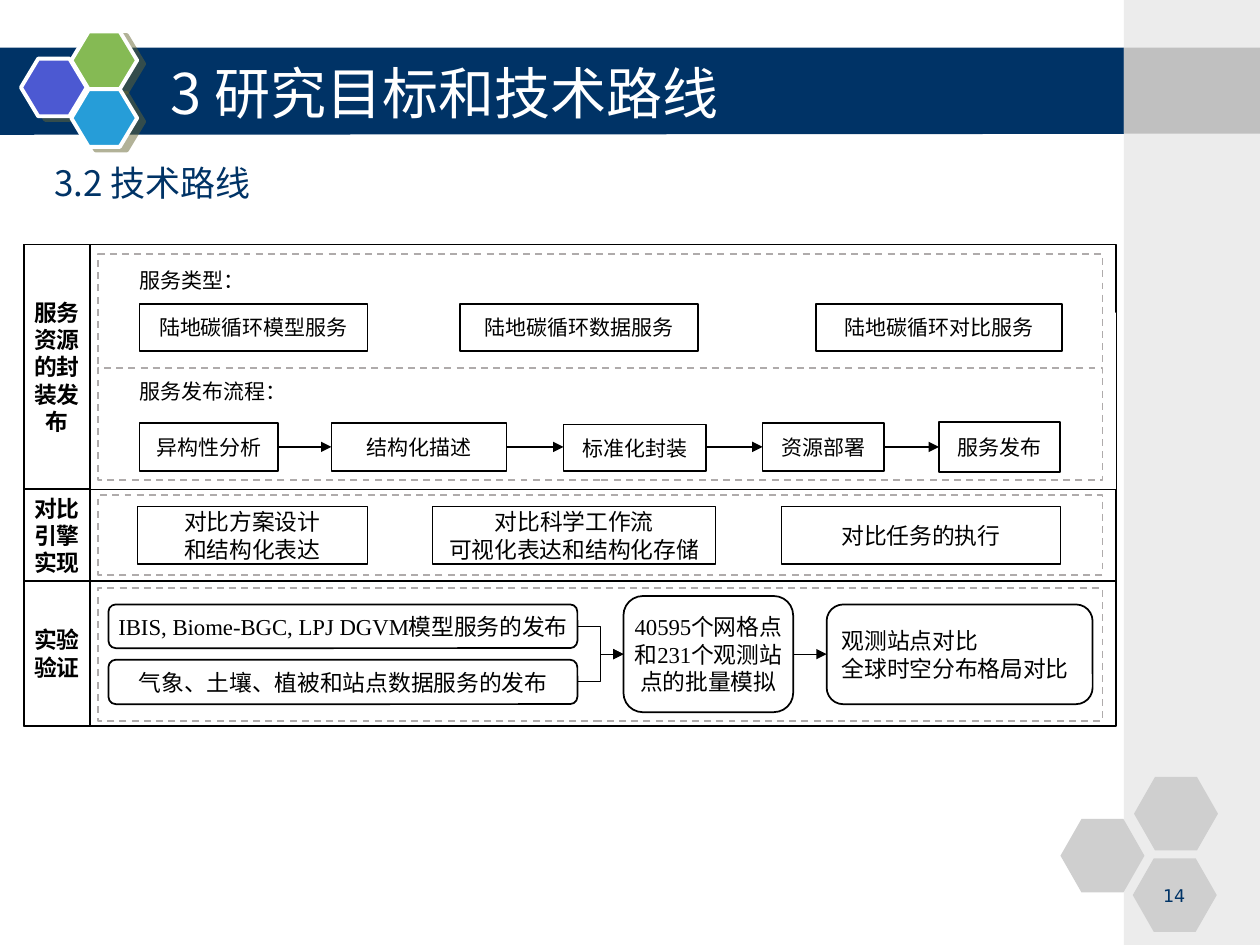
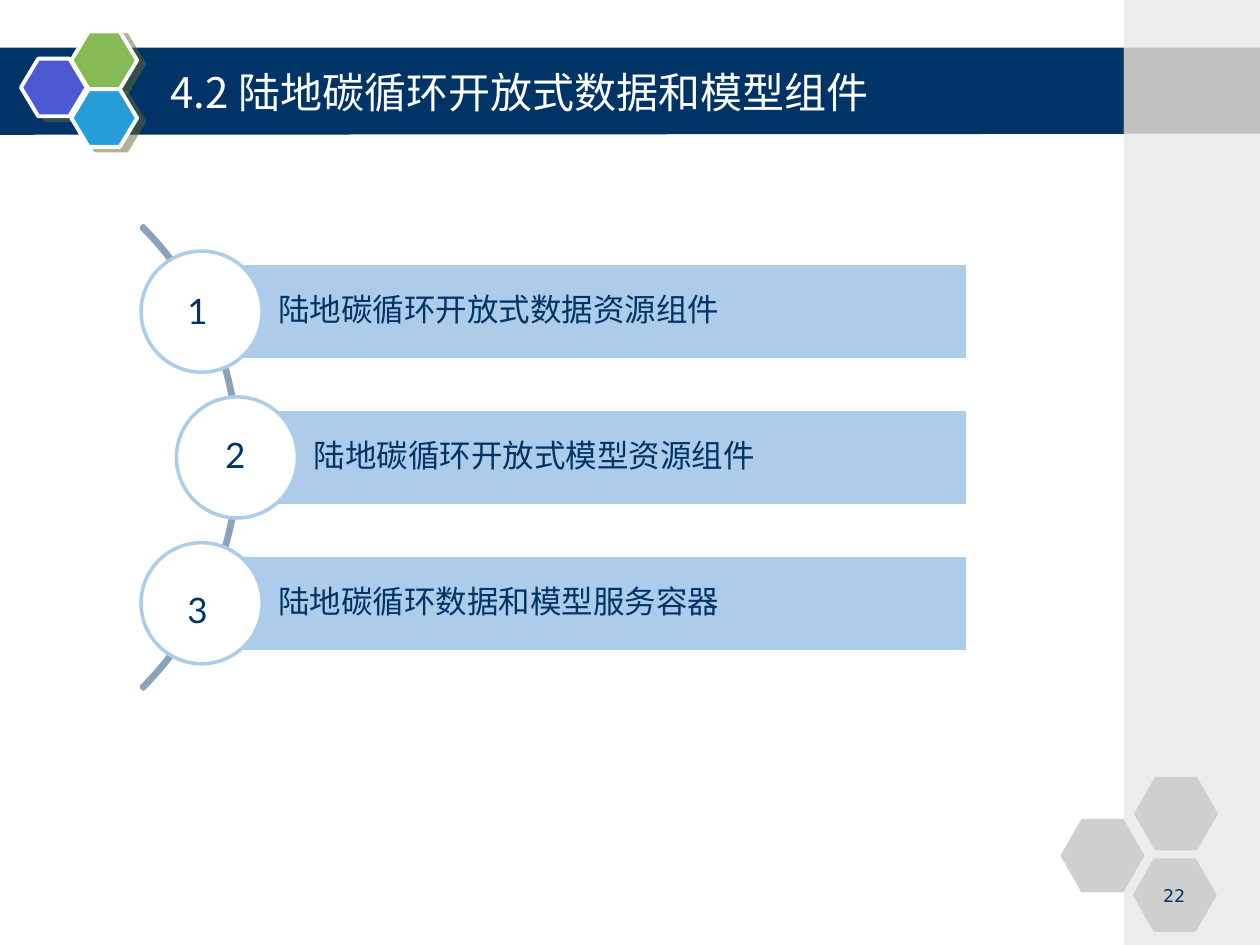
from lxml import etree
from pptx import Presentation
from pptx import util as u
from pptx.dml.color import RGBColor
from pptx.enum import dml, shapes, text
from pptx.oxml import ns

Pt = u.Pt
color = RGBColor.from_string
SHAPE = shapes.MSO_SHAPE
CONNECTOR = shapes.MSO_CONNECTOR
CENTER = text.PP_ALIGN.CENTER
LEFT = text.PP_ALIGN.LEFT

NAVY, WHITE, BLACK = "003366", "FFFFFF", "000000"
PALE_BLUE, ARC_BLUE, DASH_GRAY = "ACCCE9", "8AA3BB", "AFABAB"
CJK, SERIF, SANS = "Noto Sans CJK SC", "Times New Roman", "DejaVu Sans"


def add_block(slide, kind, box, content="", fill=None, line=None, weight=1, dash=False,
              adjust=(), size=12, font=SERIF, ink=BLACK, bold=False, align=CENTER,
              middle=True, insets=(7.2, 3.6, 7.2, 3.6), spacing=None):
    """Add a preset shape, or a text box when kind is None, with its text."""
    place = [Pt(value) for value in box]
    if kind is None:
        shape = slide.shapes.add_textbox(*place)
    else:
        shape = slide.shapes.add_shape(kind, *place)
        shape.shadow.inherit = False
        for index, value in enumerate(adjust):
            shape.adjustments[index] = value
        if fill:
            shape.fill.solid()
            shape.fill.fore_color.rgb = color(fill)
        else:
            shape.fill.background()
        if line:
            shape.line.color.rgb = color(line)
            shape.line.width = Pt(weight)
            if dash:
                shape.line.dash_style = dml.MSO_LINE.DASH
        else:
            shape.line.fill.background()
    if not content:
        return shape
    frame = shape.text_frame
    frame.word_wrap = True
    frame.vertical_anchor = text.MSO_ANCHOR.MIDDLE if middle else text.MSO_ANCHOR.TOP
    (frame.margin_left, frame.margin_top,
     frame.margin_right, frame.margin_bottom) = [Pt(value) for value in insets]
    for index, words in enumerate(content.split("\n")):
        paragraph = frame.add_paragraph() if index else frame.paragraphs[0]
        paragraph.alignment = align
        if spacing:
            paragraph.line_spacing = spacing
        run = paragraph.add_run()
        run.text = words
        run.font.size = Pt(size)
        run.font.bold = bold
        run.font.color.rgb = color(ink)
        run.font.name = font
        east_asian = etree.SubElement(run.font._element, ns.qn("a:ea"))
        east_asian.set("typeface", CJK)
    return shape


def add_line(slide, kind, start, end, weight, arrow=True):
    """Add a black connector, with an arrowhead at its end by default."""
    connector = slide.shapes.add_connector(kind, *[Pt(value) for value in (*start, *end)])
    connector.line.color.rgb = color(BLACK)
    connector.line.width = Pt(weight)
    if arrow:
        etree.SubElement(connector.line._get_or_add_ln(), ns.qn("a:tailEnd"), type="triangle")
    etree.SubElement(connector._element.spPr, ns.qn("a:effectLst"))


presentation = Presentation()
presentation.slide_width, presentation.slide_height = Pt(720), Pt(540)

# Shared band, hexagons, side strip, title and page number
slides = []
for title, title_size, page in [("3 研究目标和技术路线", 32, "14"),
                                ("4.2 陆地碳循环开放式数据和模型组件", 24, "22")]:
    slide = presentation.slides.add_slide(presentation.slide_layouts[6])
    slides.append(slide)

    builder = slide.shapes.build_freeform(Pt(-2), Pt(27.2))
    builder.add_line_segments([(Pt(643.5), Pt(27.2)), (Pt(643), Pt(76.5)), (Pt(-2), Pt(77))])
    band = builder.convert_to_shape()
    band.shadow.inherit = False
    band.fill.solid()
    band.fill.fore_color.rgb = color(NAVY)
    band.line.fill.background()

    for left, top, fill in [(12, 33.5, "4C59D2"), (40.8, 18, "85BA54"), (40.8, 51, "269DD8")]:
        hexagon = add_block(slide, SHAPE.HEXAGON, (left, top, 37.6, 33), fill=fill,
                            line=WHITE, weight=2.25, adjust=[0.3])
        effects = hexagon._element.spPr.find(ns.qn("a:effectLst"))
        shadow = etree.SubElement(effects, ns.qn("a:outerShdw"), dist=str(Pt(4.5)),
                                  dir=str(27 * 60000), algn="ctr", rotWithShape="0")
        tint = etree.SubElement(shadow, ns.qn("a:srgbClr"), val="666633")
        etree.SubElement(tint, ns.qn("a:alpha"), val="50000")

    add_block(slide, SHAPE.RECTANGLE, (642.2, 0, 77.8, 540), fill="ECECEC")
    add_block(slide, SHAPE.RECTANGLE, (642.2, 27.2, 77.8, 49.2), fill="C0C0C0")
    for left, top in [(606, 468), (648, 444), (647.3, 490.5)]:
        add_block(slide, SHAPE.HEXAGON, (left, top, 48, 42), fill="CFCFCF", adjust=[0.286])

    add_block(slide, None, (90.3, 30.2, 534, 44.6), title, size=title_size, font=CJK,
              ink=WHITE, align=LEFT)
    add_block(slide, None, (653, 502.4, 36, 18), page, size=10, font=SANS, ink=NAVY,
              middle=False)

route_slide, component_slide = slides

# Technical route: heading
add_block(route_slide, None, (23.8, 84.2, 540, 33), "3.2 技术路线", size=20, font=CJK,
          ink=NAVY, align=LEFT, middle=False, spacing=1.2)

# Row frames; the first row continues below its frame with a thin right edge
FRAME_LEFT, FRAME_WIDTH = 13.7, 624.2
for top, height in [(279.4, 53.2), (139.7, 42.5), (332, 82.8)]:
    add_block(route_slide, SHAPE.RECTANGLE, (FRAME_LEFT, top, FRAME_WIDTH, height),
              fill=WHITE, line=BLACK)
add_block(route_slide, SHAPE.RECTANGLE, (FRAME_LEFT, 178.6, FRAME_WIDTH, 100.8), fill=WHITE)
frame_right = FRAME_LEFT + FRAME_WIDTH
add_line(route_slide, CONNECTOR.STRAIGHT, (frame_right, 279.4), (frame_right, 178.6), 0.5,
         arrow=False)

# Row labels and dashed panels
for label, top, height in [("服务资源的封装发布", 139.7, 139.7), ("对比引擎实现", 279.4, 53.2),
                           ("实验验证", 332, 82.8)]:
    add_block(route_slide, SHAPE.RECTANGLE, (FRAME_LEFT, top, 37.7, height), label,
              fill=WHITE, line=BLACK, size=13, bold=True, insets=[3.6] * 4)
for top, height in [(145.3, 67.7), (210.3, 64), (283, 45.4), (336.2, 76)]:
    add_block(route_slide, SHAPE.RECTANGLE, (56.2, top, 573.8, height), fill=WHITE,
              line=DASH_GRAY, dash=True)

# Service types
for caption, top, width in [("服务类型：", 149.3, 94.3), ("服务发布流程：", 213, 116.6)]:
    add_block(route_slide, None, (72.7, top, width, 21.8), caption, font=SANS, align=LEFT,
              middle=False)
for service, left, width in [("陆地碳循环模型服务", 79.7, 130.3), ("陆地碳循环数据服务", 262.8, 136.1),
                             ("陆地碳循环对比服务", 466.4, 140.4)]:
    add_block(route_slide, SHAPE.RECTANGLE, (left, 173.6, width, 27), service, fill=WHITE,
              line=BLACK, insets=[0] * 4)

# Publishing process, each step linked to the one before
previous_right = None
for step, left, top, width, height in [("异构性分析", 79.7, 241.8, 79, 27.4),
                                       ("结构化描述", 189.4, 241.8, 100, 27.4),
                                       ("标准化封装", 322, 242.6, 81.4, 26.6),
                                       ("资源部署", 435.8, 241.8, 69.4, 27.4),
                                       ("服务发布", 536.6, 241, 69.2, 28.6)]:
    add_block(route_slide, SHAPE.RECTANGLE, (left, top, width, height), step, fill=WHITE,
              line=BLACK, insets=[0] * 4)
    if previous_right:
        add_line(route_slide, CONNECTOR.STRAIGHT, (previous_right, 255.4), (left, 255.4), 1.25)
    previous_right = left + width

# Comparison engine
for task, left, width in [("对比方案设计\n和结构化表达", 78.5, 131.4),
                          ("对比科学工作流\n可视化表达和结构化存储", 247, 162),
                          ("对比任务的执行", 446.4, 159.6)]:
    add_block(route_slide, SHAPE.RECTANGLE, (left, 289.4, width, 33), task, line=BLACK,
              weight=0.75, size=13)

# Experiment
for stage, box, align, left_inset, right_inset in [
        ("IBIS, Biome-BGC, LPJ DGVM模型服务的发布", (62, 345.4, 268, 25), CENTER, 0.5, 0.5),
        ("气象、土壤、植被和站点数据服务的发布", (62, 377, 268, 25.4), CENTER, 0.5, 0.5),
        ("40595个网格点和231个观测站点的批量模拟", (356.3, 340.6, 97, 66.4), CENTER, 0, 0),
        ("观测站点对比\n全球时空分布格局对比", (472.4, 345.4, 152, 57), LEFT, 5.8, 2.9)]:
    add_block(route_slide, SHAPE.ROUNDED_RECTANGLE, box, stage, fill=WHITE, line=BLACK,
              size=13, align=align, insets=(left_inset, 3.6, right_inset, 3.6))
for source_y in (357.9, 389.7):
    add_line(route_slide, CONNECTOR.ELBOW, (330, source_y), (356.3, 373.8), 0.5)
add_line(route_slide, CONNECTOR.STRAIGHT, (453.3, 373.8), (472.4, 373.8), 0.5)

# Components: arc, then a bar and numbered circle per row
add_block(component_slide, SHAPE.BLOCK_ARC, (-237.6, 74.2, 374.4, 374.4), line=ARC_BLUE,
          weight=2, adjust=[189, 27, 0.005])
BAR_RIGHT, ROW_STEP = 553, 83.3
for row, (component, bar_left, number_left, number_top) in enumerate([
        ("陆地碳循环开放式数据资源组件", 115.2, 100, 162),
        ("陆地碳循环开放式模型资源组件", 135.4, 121.5, 244),
        ("陆地碳循环数据和模型服务容器", 115.2, 100, 332.6)]):
    bar_top = 150.5 + row * ROW_STEP
    add_block(component_slide, SHAPE.RECTANGLE, (bar_left, bar_top, BAR_RIGHT - bar_left, 55.4),
              component, fill=PALE_BLUE, line=WHITE, weight=2, size=18, font=SANS, ink=NAVY,
              align=LEFT, insets=(43.9, 3.6, 3.6, 3.6), spacing=0.9)
    add_block(component_slide, SHAPE.OVAL, (bar_left - 34.6, bar_top - 7, 69.2, 69.2),
              fill=WHITE, line=PALE_BLUE, weight=2)
    add_block(component_slide, None, (number_left, number_top, 34, 31.7), str(row + 1),
              size=20, font="Lato", ink=NAVY, align=LEFT, middle=False)

presentation.save("out.pptx")
